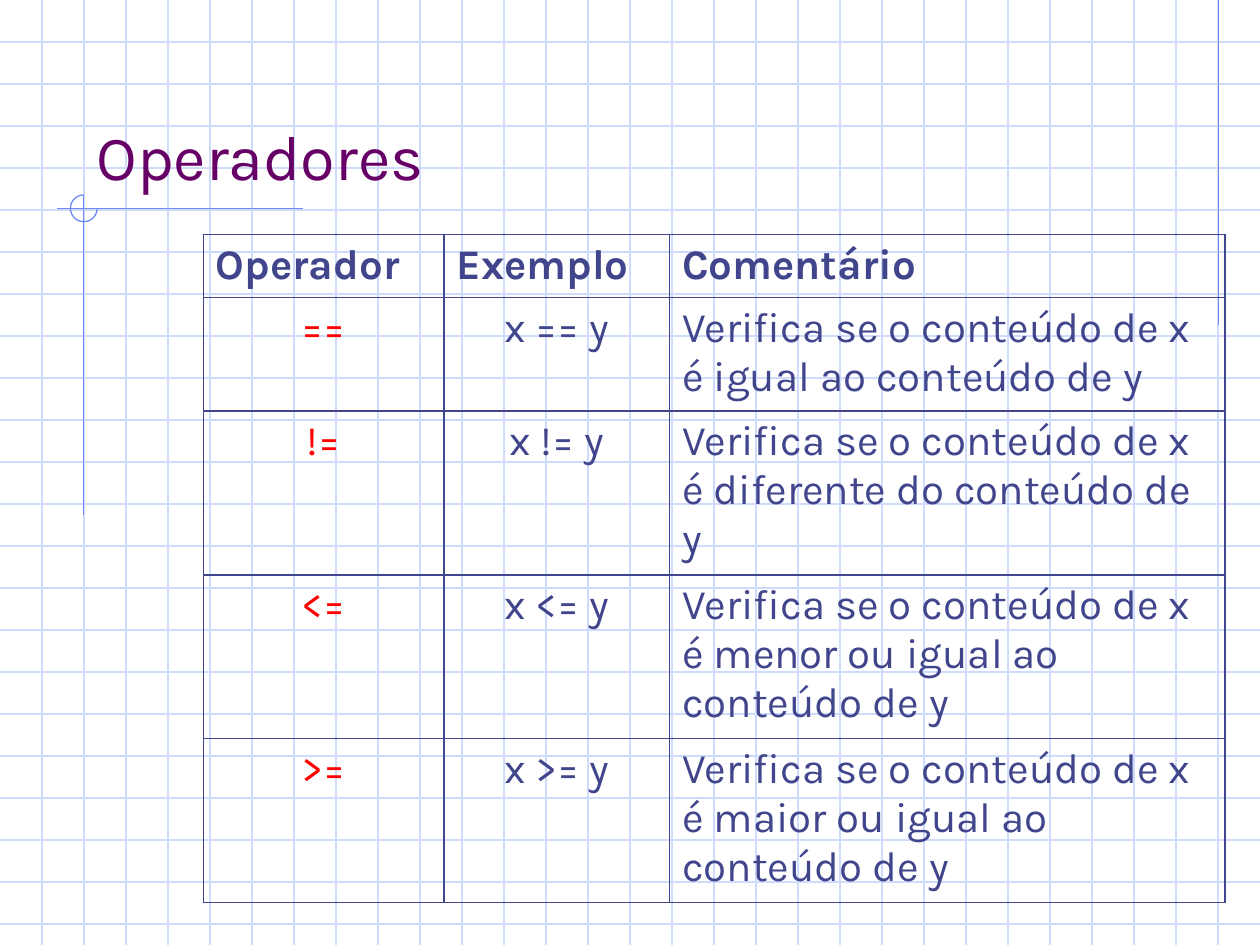
from dataclasses import dataclass

import lxml.etree
import pptx
import pptx.dml.color
import pptx.enum.shapes
import pptx.enum.text
import pptx.oxml.ns
import pptx.util

Cm = pptx.util.Cm
Pt = pptx.util.Pt
Align = pptx.enum.text.PP_ALIGN
qn = pptx.oxml.ns.qn


@dataclass(frozen=True)
class Theme:
    font: str = "Karla"
    title_color: str = "660066"
    text_color: str = "40458C"
    operator_color: str = "FF0000"
    grid_color: str = "CFDBFD"
    accent_color: str = "6F89F7"
    title_size: int = 36
    table_size: int = 24
    line_width: float = 0.75
    border_width: float = 1


def rgb(color):
    return pptx.dml.color.RGBColor.from_string(color)


def write_text(frame, text, *, font, size, color, bold=False, align=Align.LEFT):
    frame.word_wrap = True
    para = frame.paragraphs[0]
    para.alignment = align
    span = para.add_run()
    span.text = text
    span.font.name = font
    span.font.size = Pt(size)
    span.font.bold = bold
    span.font.color.rgb = rgb(color)


class SlideBuilder:
    def __init__(self, page, theme):
        self.page = page
        self.theme = theme

    def line(self, x1, y1, x2, y2, color):
        connector = self.page.shapes.add_connector(
            pptx.enum.shapes.MSO_CONNECTOR.STRAIGHT, Cm(x1), Cm(y1), Cm(x2), Cm(y2))
        connector.line.color.rgb = rgb(color)
        connector.line.width = Pt(self.theme.line_width)
        lxml.etree.SubElement(connector.element.spPr, qn("a:effectLst"))

    def grid(self, width, height, step):
        for row in range(1, int(height / step) + 1):
            self.line(0, row * step, width, row * step, self.theme.grid_color)
        for column in range(1, int(width / step)):
            self.line(column * step, 0, column * step, height, self.theme.grid_color)

    def three_quarter_arc(self, left, top, size):
        arc = self.page.shapes.add_shape(
            pptx.enum.shapes.MSO_SHAPE.ARC, Cm(left), Cm(top), Cm(size), Cm(size))
        arc.adjustments[0] = 0
        arc.adjustments[1] = 162
        arc.shadow.inherit = False
        arc.fill.background()
        arc.line.color.rgb = rgb(self.theme.accent_color)
        arc.line.width = Pt(self.theme.line_width)

    def title(self, text, left, top, width, height):
        box = self.page.shapes.title
        box.left, box.top, box.width, box.height = Cm(left), Cm(top), Cm(width), Cm(height)
        box.text_frame.vertical_anchor = pptx.enum.text.MSO_ANCHOR.BOTTOM
        box.text_frame.auto_size = pptx.enum.text.MSO_AUTO_SIZE.NONE
        write_text(box.text_frame, text, font=self.theme.font,
                   size=self.theme.title_size, color=self.theme.title_color)
        self.page.shapes.element.append(box.element)

    def border(self, cell):
        properties = cell._tc.get_or_add_tcPr()
        for side in ("a:lnL", "a:lnR", "a:lnT", "a:lnB"):
            edge = lxml.etree.SubElement(
                properties, qn(side), w=str(Pt(self.theme.border_width)))
            fill = lxml.etree.SubElement(edge, qn("a:solidFill"))
            lxml.etree.SubElement(fill, qn("a:srgbClr"), val=self.theme.text_color)

    def table(self, rows, left, top, widths, heights):
        table = self.page.shapes.add_table(
            len(rows), len(widths), Cm(left), Cm(top),
            Cm(sum(widths)), Cm(sum(heights))).table
        table.first_row = False
        table.horz_banding = False
        for column, width in zip(table.columns, widths):
            column.width = Cm(width)
        for row, height in zip(table.rows, heights):
            row.height = Cm(height)
        for r, values in enumerate(rows):
            for c, text in enumerate(values):
                cell = table.cell(r, c)
                header = r == 0
                operator = c == 0 and not header
                self.border(cell)
                cell.fill.background()
                write_text(
                    cell.text_frame, text, font=self.theme.font,
                    size=self.theme.table_size, bold=header,
                    color=self.theme.operator_color if operator else self.theme.text_color,
                    align=Align.LEFT if header or c == 2 else Align.CENTER)


def main():
    theme = Theme()
    width, height = 25.4, 19.05
    deck = pptx.Presentation()
    deck.slide_width, deck.slide_height = Cm(width), Cm(height)
    builder = SlideBuilder(deck.slides.add_slide(deck.slide_layouts[5]), theme)

    builder.grid(width, height, width / 30)
    builder.line(24.56, 0, 24.56, 6.55, theme.accent_color)
    builder.line(6.1, 4.21, 1.14, 4.21, theme.accent_color)
    builder.line(1.69, 3.93, 1.69, 10.39, theme.accent_color)
    builder.three_quarter_arc(1.42, 3.93, 0.54)
    builder.title("Operadores", 1.69, 0.85, 21.59, 3.18)

    comparisons = {
        "==": "igual ao",
        "!=": "diferente do",
        "<=": "menor ou igual ao",
        ">=": "maior ou igual ao",
    }
    rows = [("Operador", "Exemplo", "Comentário")]
    rows += [(sign, f"x {sign} y", f"Verifica se o conteúdo de x é {meaning} conteúdo de y")
             for sign, meaning in comparisons.items()]
    builder.table(rows, 4.1, 4.73, (4.85, 4.55, 11.2), (1.27, 2.29, 3.3, 3.3, 3.3))
    deck.save("out.pptx")


main()
